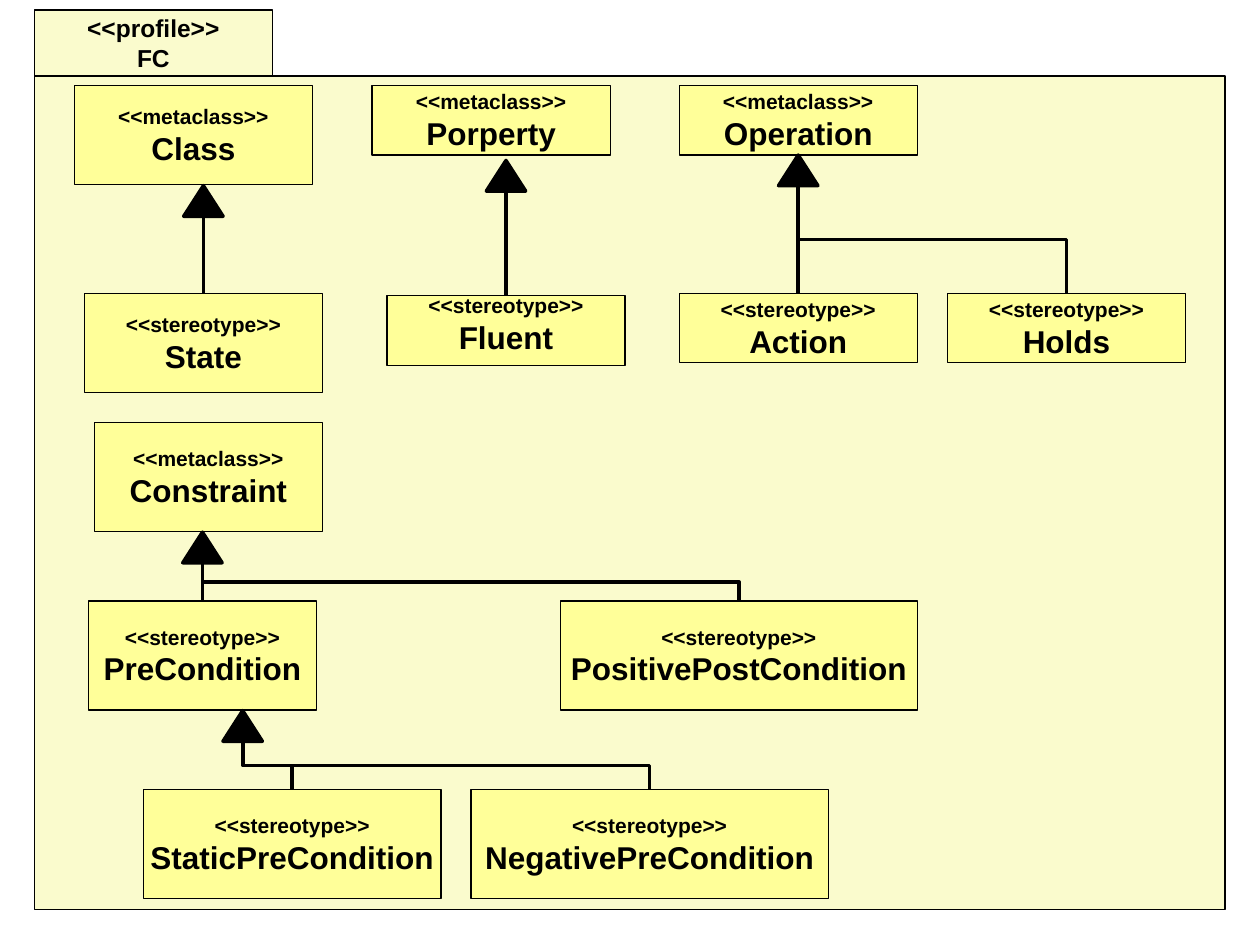
from pptx import Presentation
from pptx.dml.color import RGBColor
from pptx.enum.shapes import MSO_CONNECTOR, MSO_SHAPE
from pptx.enum.text import MSO_ANCHOR, PP_ALIGN
from pptx.oxml.ns import qn
from pptx.util import Pt
from lxml import etree

RECT, TRIANGLE = MSO_SHAPE.RECTANGLE, MSO_SHAPE.ISOSCELES_TRIANGLE
STRAIGHT, ELBOW = MSO_CONNECTOR.STRAIGHT, MSO_CONNECTOR.ELBOW
MIDDLE, CENTER = MSO_ANCHOR.MIDDLE, PP_ALIGN.CENTER
COLORS = {"package": "FAFBCD", "class": "FFFF99", "ink": "000000"}
INK = RGBColor.from_string(COLORS["ink"])
HEAD_W, HEAD_H = 22.5, 17.5

prs = Presentation()
prs.slide_width, prs.slide_height = Pt(720), Pt(540)
s = prs.slides.add_slide(prs.slide_layouts[6])


def add_shape(kind, x, y, w, h, color, line=0.75):
    sp = s.shapes.add_shape(kind, Pt(x), Pt(y), Pt(w), Pt(h))
    sp.shadow.inherit = False
    sp.fill.solid()
    sp.fill.fore_color.rgb = RGBColor.from_string(COLORS[color])
    sp.line.color.rgb = INK
    sp.line.width = Pt(line)
    return sp


def add_label(sp, lines, sizes):
    tf = sp.text_frame
    tf.word_wrap = False
    tf.vertical_anchor = MIDDLE
    tf.text = "\n".join(lines)
    for p, size in zip(tf.paragraphs, sizes):
        p.alignment = CENTER
        font = p.runs[0].font
        font.name, font.size, font.bold = "Arial", Pt(size), True
        font.color.rgb = INK


tab = add_shape(RECT, 19.6, 5.7, 136.1, 37.7, "package")
add_label(tab, ["<<profile>>", "FC"], [14, 14])
add_shape(RECT, 19.6, 43.4, 680.4, 476.2, "package")

boxes = {}
for kind, name, x, y, w, h in [
    ("metaclass", "Class", 42.5, 48.8, 136.1, 56.7),
    ("metaclass", "Porperty", 212.6, 48.8, 136.1, 39.7),
    ("metaclass", "Operation", 388.1, 48.8, 136.1, 39.7),
    ("stereotype", "State", 48.2, 167.6, 136.1, 56.7),
    ("stereotype", "Fluent", 221.1, 169, 136.1, 39.7),
    ("stereotype", "Action", 388.1, 167.6, 136.1, 39.7),
    ("stereotype", "Holds", 541.4, 167.6, 136.1, 39.7),
    ("metaclass", "Constraint", 53.9, 241.5, 130.4, 62.4),
    ("stereotype", "PreCondition", 50.5, 343.4, 130.4, 62.4),
    ("stereotype", "PositivePostCondition", 320.2, 343.4, 204.1, 62.4),
    ("stereotype", "StaticPreCondition", 81.9, 451.2, 170.1, 62.4),
    ("stereotype", "NegativePreCondition", 269.2, 451.2, 204.1, 62.4),
]:
    boxes[name] = add_shape(RECT, x, y, w, h, "class")
    add_label(boxes[name], [f"<<{kind}>>", name], [12, 18])

fluent_tf = boxes["Fluent"].text_frame
fluent_tf.margin_top, fluent_tf.margin_bottom = Pt(0), Pt(7)

for x, y, children in [
    (116.25, 106.1, ["State"]),
    (289.15, 91.7, ["Fluent"]),
    (456.15, 88.6, ["Action", "Holds"]),
    (115.7, 304.1, ["PreCondition", "PositivePostCondition"]),
    (138.7, 406.1, ["StaticPreCondition", "NegativePreCondition"]),
]:
    add_shape(TRIANGLE, x - HEAD_W / 2, y, HEAD_W, HEAD_H, "ink", 2)
    base = y + HEAD_H
    for name in children:
        box = boxes[name]
        end_x, end_y = box.left.pt + box.width.pt / 2, box.top.pt
        dx, dy = end_x - x, end_y - base
        if abs(dx) < 1:
            c = s.shapes.add_connector(STRAIGHT, Pt(x), Pt(base), Pt(end_x), Pt(end_y))
            c.end_connect(box, 0)
        else:
            left, top = (x + end_x - dy) / 2, (base + end_y - dx) / 2
            c = s.shapes.add_connector(ELBOW, Pt(left), Pt(top), Pt(left + dy), Pt(top + dx))
            xfrm = c._element.spPr.find(qn("a:xfrm"))
            xfrm.set("rot", "16200000")
            xfrm.set("flipH", "1")
        c.line.color.rgb = INK
        c.line.width = Pt(2)
        etree.SubElement(c._element.spPr, qn("a:effectLst"))

prs.save("out.pptx")
